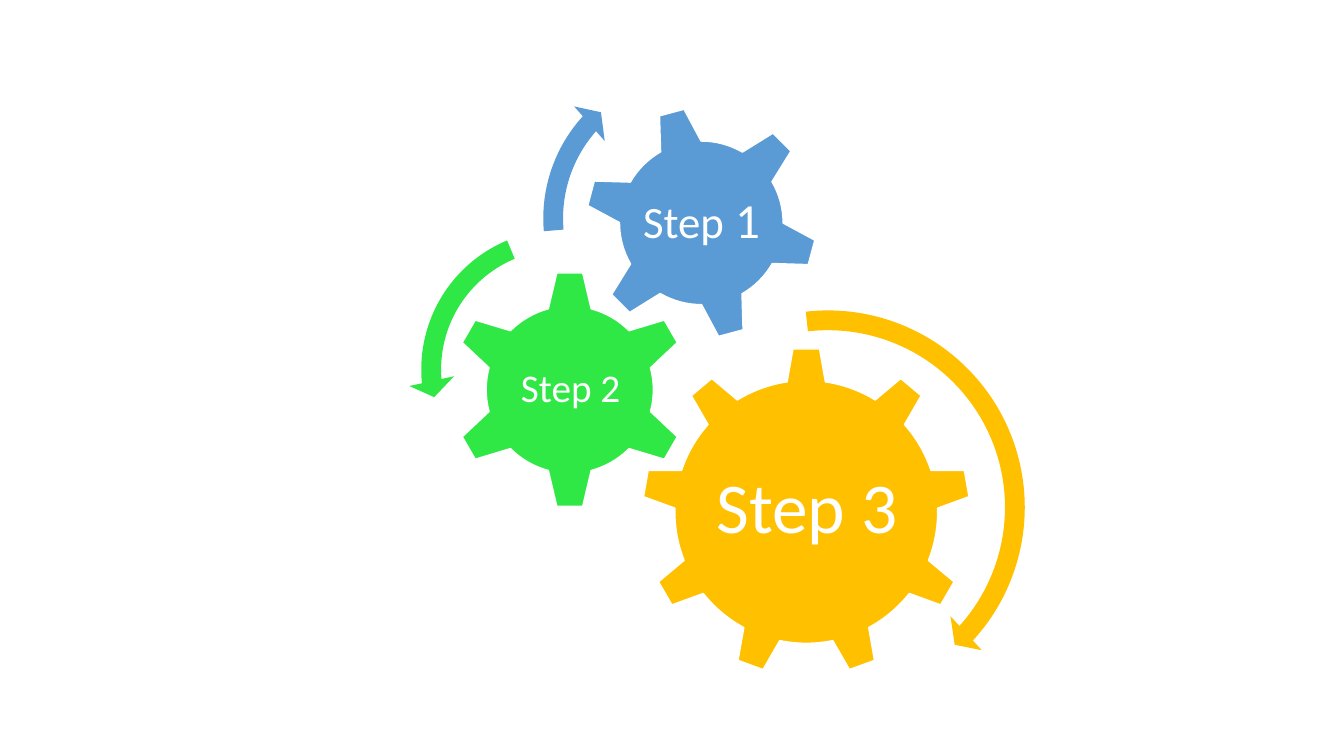
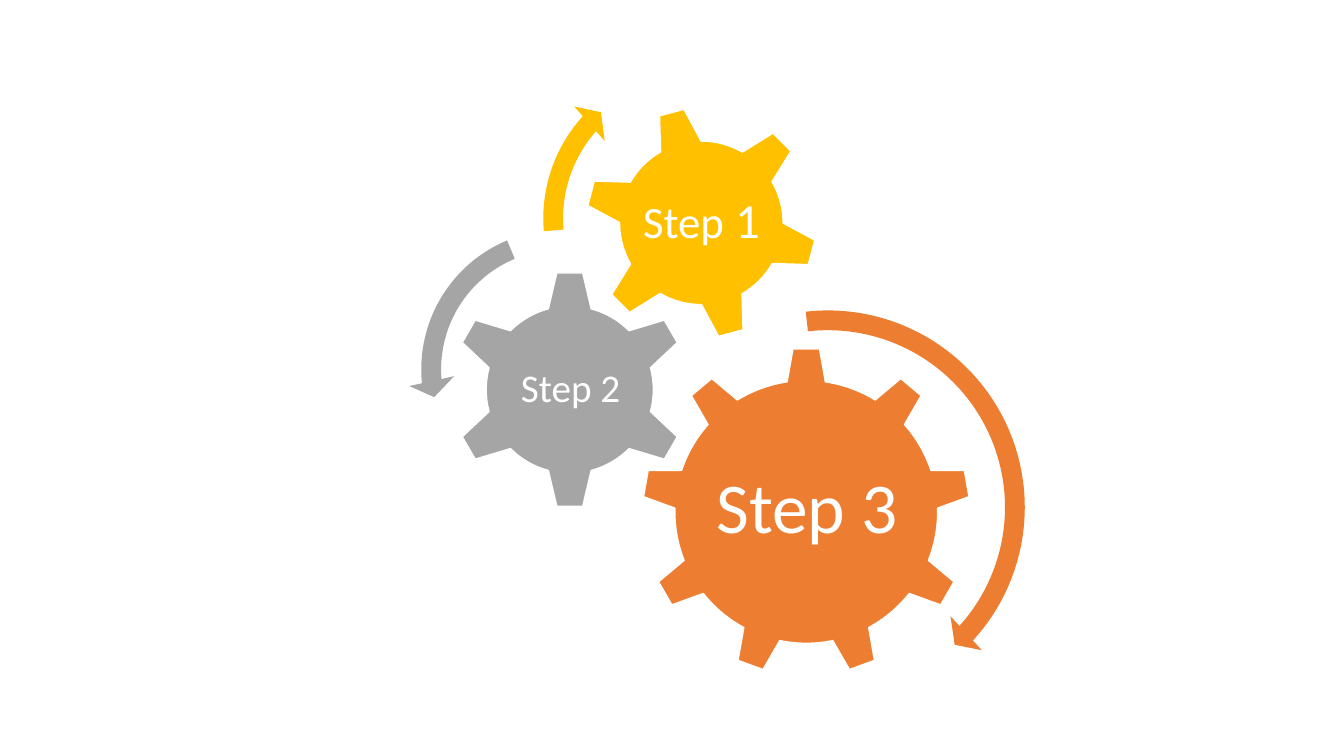
from dataclasses import dataclass

from pptx import Presentation
from pptx.dml.color import RGBColor
from pptx.enum.shapes import MSO_SHAPE
from pptx.enum.text import MSO_ANCHOR, PP_ALIGN
from pptx.util import Cm, Pt


@dataclass(frozen=True)
class Theme:
    font: str = "Calibri"
    white: str = "FFFFFF"
    blue: str = "5B9BD5"
    green: str = "30E845"
    gold: str = "FFC000"
    grey: str = "A5A5A5"
    orange: str = "ED7D31"
    large: int = 51
    medium: int = 35
    regular: int = 32
    small: int = 28


theme = Theme()

# Gears, back to front: step, shape, (left, top, side), rotation,
# label (left, top, width, height), label inset, runs (text, size)
GEARS = [
    (3, MSO_SHAPE.GEAR_9, (16.18, 8.76, 8.28), 0,
     (17.86, 10.72, 4.95, 4.27), 0.18, [("Step 3", theme.large)]),
    (2, MSO_SHAPE.GEAR_6, (11.35, 6.81, 6.02), 0,
     (12.88, 8.33, 3, 2.97), 0.1, [("Step 2", theme.small)]),
    (1, MSO_SHAPE.GEAR_6, (14.73, 2.67, 5.89), 345,
     (16.03, 3.96, 3.3, 3.3), 0.1,
     [("Step", theme.regular), (" 1", theme.medium)]),
]

# Arrows: step, shape, (left, top, side), band and head width in percent,
# head, end and start angles in degrees
ARROWS = [
    (3, MSO_SHAPE.CIRCULAR_ARROW, (15.57, 7.49, 10.59),
     (4.7, 5.5), (4.98, 42.32, 263.54)),
    (2, MSO_SHAPE.LEFT_CIRCULAR_ARROW, (10.29, 5.46, 7.7),
     (6.5, 7.5), (7.17, 174.82, 247.3)),
    (1, MSO_SHAPE.CIRCULAR_ARROW, (13.36, 1.35, 8.31),
     (6, 7), (6.57, 221.9, 175.14)),
]

# One colour per step on each slide
PALETTES = [
    {1: theme.blue, 2: theme.green, 3: theme.gold},
    {1: theme.gold, 2: theme.grey, 3: theme.orange},
]

DEGREE = 0.6  # one degree in adjustment units


def add_square(page, kind, place, colour):
    left, top, side = map(Cm, place)
    shape = page.shapes.add_shape(kind, left, top, side, side)
    shape.shadow.inherit = False
    shape.fill.solid()
    shape.fill.fore_color.rgb = RGBColor.from_string(colour)
    shape.line.fill.background()
    return shape


def add_label(page, place, inset, runs):
    box = page.shapes.add_textbox(*map(Cm, place))
    frame = box.text_frame
    frame.word_wrap = True
    frame.vertical_anchor = MSO_ANCHOR.MIDDLE
    frame.margin_left = frame.margin_right = Cm(inset)
    frame.margin_top = frame.margin_bottom = Cm(inset)
    para = frame.paragraphs[0]
    para.alignment = PP_ALIGN.CENTER
    para.line_spacing = 0.9
    for text, size in runs:
        span = para.add_run()
        span.text = text
        span.font.name = theme.font
        span.font.size = Pt(size)
        span.font.color.rgb = RGBColor.from_string(theme.white)


deck = Presentation()
deck.slide_width, deck.slide_height = Cm(33.87), Cm(19.05)
blank_layout = deck.slide_layouts[6]

for palette in PALETTES:
    page = deck.slides.add_slide(blank_layout)

    # Gears with their labels
    for step, kind, place, rotation, label_place, inset, runs in GEARS:
        gear = add_square(page, kind, place, palette[step])
        gear.rotation = rotation
        gear.line.color.rgb = RGBColor.from_string(theme.white)
        gear.line.width = Pt(1)
        add_label(page, label_place, inset, runs)

    # Arrows showing which way each gear turns
    for step, kind, place, (band, head), angles in ARROWS:
        arrow = add_square(page, kind, place, palette[step])
        settings = [band / 100, *(angle * DEGREE for angle in angles), head / 100]
        for index, value in enumerate(settings):
            arrow.adjustments[index] = value

deck.save("out.pptx")
